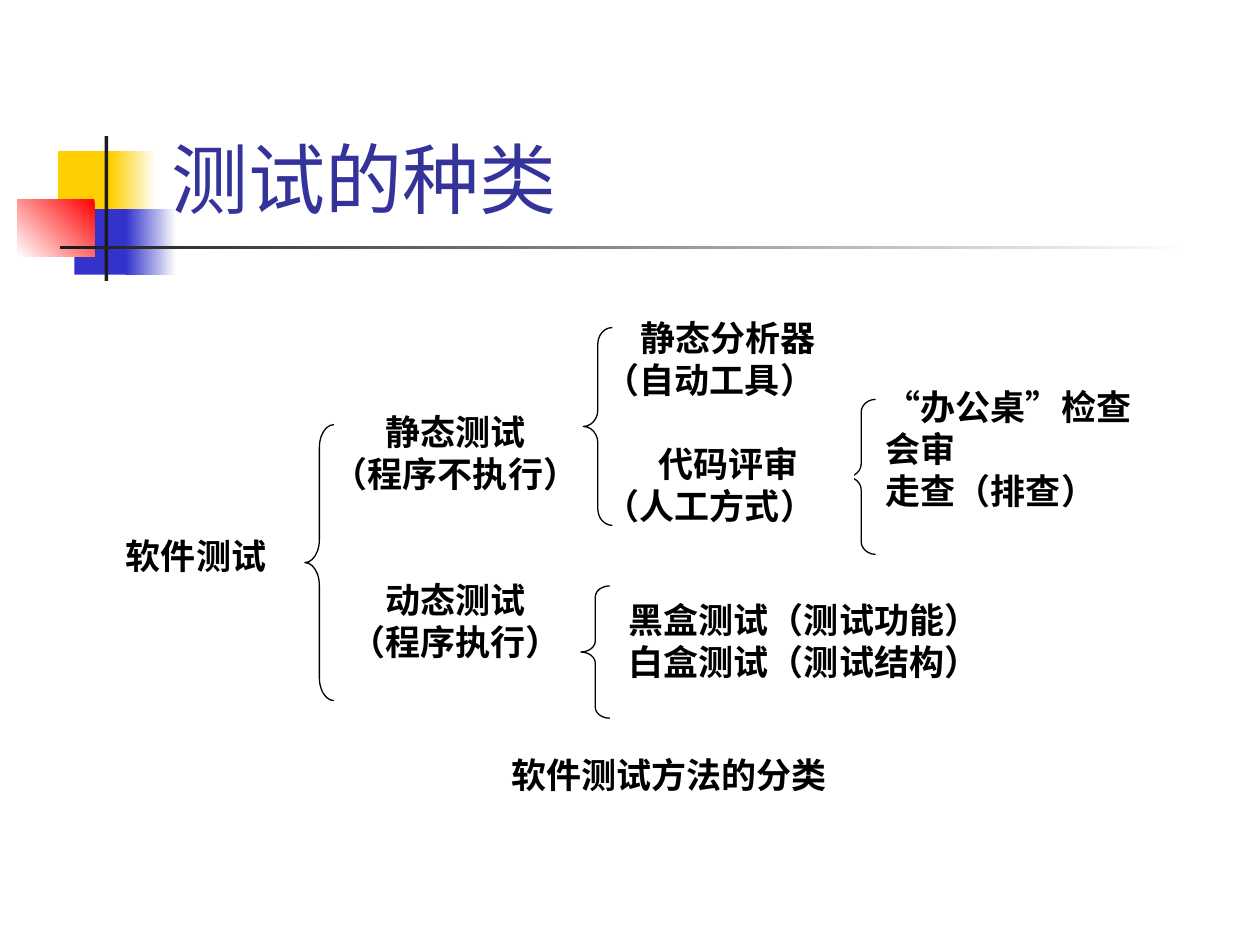
from pptx import Presentation, util as u
from pptx.dml.color import RGBColor
from pptx.enum import lang, shapes, text

Inches = u.Inches
LINE = 24  # height in points of one line of 20 pt text
CENTER, JUSTIFY = text.PP_ALIGN.CENTER, text.PP_ALIGN.JUSTIFY


def color(value):
    return RGBColor.from_string(value)


def add_text(box, lines, font, size, hue, bold=False, anchor=text.MSO_ANCHOR.TOP,
             insets=(0.02, 0, 0.02, 0.01)):
    """Add a text box; each line is (words, alignment, empty lines above)."""
    sp = s.shapes.add_textbox(*map(Inches, box))
    tf = sp.text_frame
    tf.word_wrap = True
    tf.vertical_anchor = anchor
    tf.margin_left, tf.margin_top, tf.margin_right, tf.margin_bottom = map(Inches, insets)
    for i, (words, align, gap) in enumerate(lines):
        p = tf.paragraphs[0] if i == 0 else tf.add_paragraph()
        p.alignment = align
        p.space_before = u.Pt(gap * LINE)
        r = p.add_run()
        r.text = words
        r.font.language_id = lang.MSO_LANGUAGE_ID.SIMPLIFIED_CHINESE
        p.font.name, p.font.size, p.font.bold = font, u.Pt(size), bold
        p.font.color.rgb = color(hue)
    return sp


prs = Presentation()
prs.slide_width, prs.slide_height = Inches(10), Inches(7.5)
s = prs.slides.add_slide(prs.slide_layouts[6])

# Title decoration: box, fill colours, gradient angle
decoration = [
    ((0.46, 1.2, 0.48, 0.52), ["FFCF01"], 0),
    ((0.88, 1.2, 0.36, 0.52), ["FFFFFF", "FFCF01"], 180),
    ((0.59, 1.66, 0.46, 0.52), ["3333CC"], 0),
    ((1, 1.66, 0.4, 0.52), ["FFFFFF", "3333CC"], 180),
    ((0.14, 1.58, 0.61, 0.46), ["FF0000", "FFFFFF"], 225),
    ((0.83, 1.08, 0.03, 1.15), ["1C1C1C"], 0),
    ((0.48, 1.95, 9, 0.03), ["FFFFFF", "1C1C1C"], 180),
]
for box, hues, angle in decoration:
    sp = s.shapes.add_shape(shapes.MSO_SHAPE.RECTANGLE, *map(Inches, box))
    sp.shadow.inherit = False
    sp.line.fill.background()
    if len(hues) == 1:
        sp.fill.solid()
        sp.fill.fore_color.rgb = color(hues[0])
    else:
        sp.fill.gradient()
        sp.fill.gradient_angle = angle
        for stop, position, hue in zip(sp.fill.gradient_stops, (0, 1), hues):
            stop.position = position
            stop.color.rgb = color(hue)

# Title
add_text((1.26, 0.23, 8.52, 1.6), [("测试的种类", text.PP_ALIGN.LEFT, 0)], "Roboto", 44,
         "333399", anchor=text.MSO_ANCHOR.BOTTOM, insets=(0.1, 0.05, 0.1, 0.05))

# Classification tree, back to front: boxes have lines, braces have none
tree = [
    ((1.85, 5.98, 6.92, 0.6), [("软件测试方法的分类", CENTER, 0)]),
    ((0.98, 4.24, 1.36, 0.48), [("软件测试", JUSTIFY, 0)]),
    ((2.59, 3.26, 2.05, 2.45), [("静态测试", CENTER, 0), ("（程序不执行）", CENTER, 0),
                                ("动态测试", CENTER, 2), ("（程序执行）", CENTER, 0)]),
    ((2.42, 3.37, 0.23, 2.19), None),
    ((7.01, 3.06, 2.31, 1.44), [("“办公桌”检查", JUSTIFY, 0), ("会审", JUSTIFY, 0),
                                ("走查（排查）", JUSTIFY, 0)]),
    ((6.72, 3.17, 0.23, 1.23), None),
    ((4.78, 2.51, 2, 1.91), [("静态分析器", CENTER, 0), ("（自动工具）", JUSTIFY, 0),
                             ("代码评审", CENTER, 1), ("（人工方式）", JUSTIFY, 0)]),
    ((4.63, 2.6, 0.23, 1.57), None),
    ((4.61, 4.65, 0.23, 1.05), None),
    ((4.97, 4.75, 3.46, 0.96), [("黑盒测试（测试功能）", JUSTIFY, 0),
                                ("白盒测试（测试结构）", JUSTIFY, 0)]),
]
for box, lines in tree:
    if lines:
        sp = add_text(box, lines, "Times New Roman", 20, "000000", bold=True)
        sp.fill.solid()
        sp.fill.fore_color.rgb = color("FFFFFF")
    else:
        sp = s.shapes.add_shape(shapes.MSO_SHAPE.LEFT_BRACE, *map(Inches, box))
        sp.adjustments[0] = box[3] / 12 / box[2]  # curves take a twelfth of the height
        sp.shadow.inherit = False
        sp.fill.background()
        sp.line.color.rgb = color("000000")
        sp.line.width = u.Pt(0.75)

prs.save("out.pptx")
